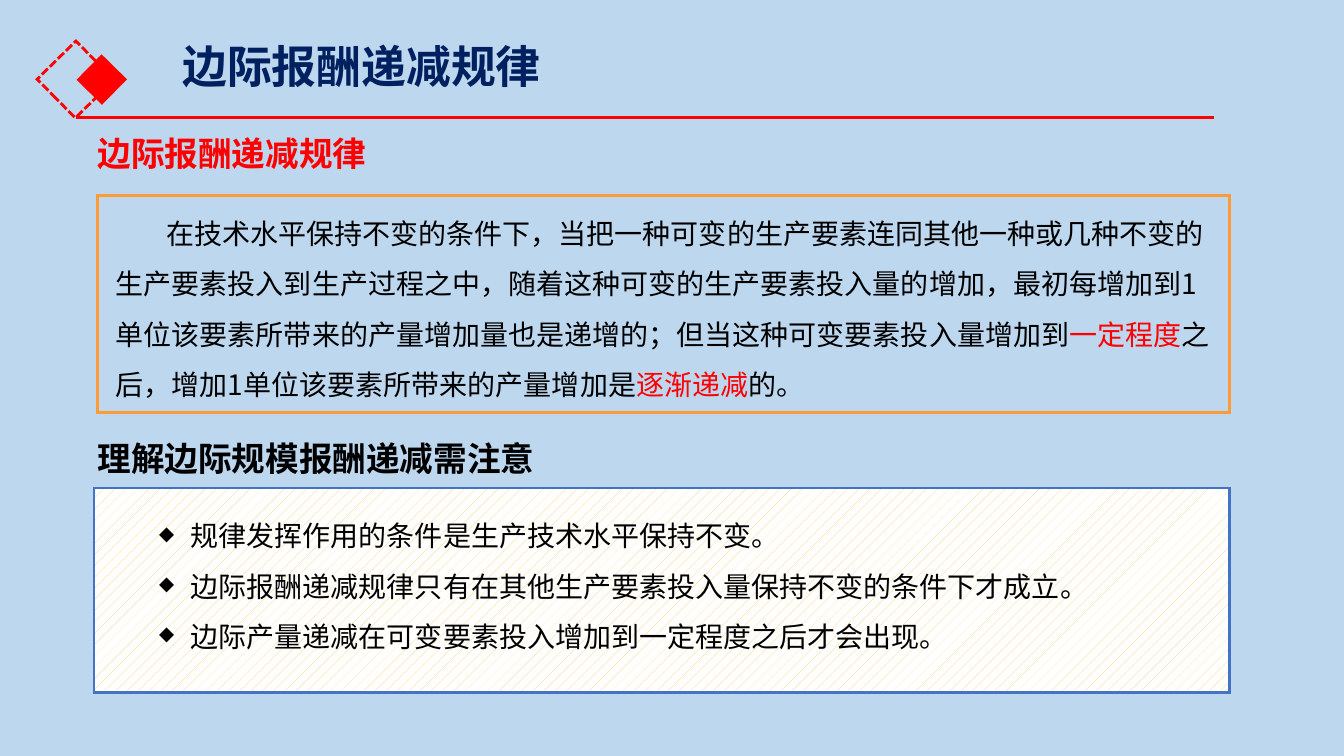
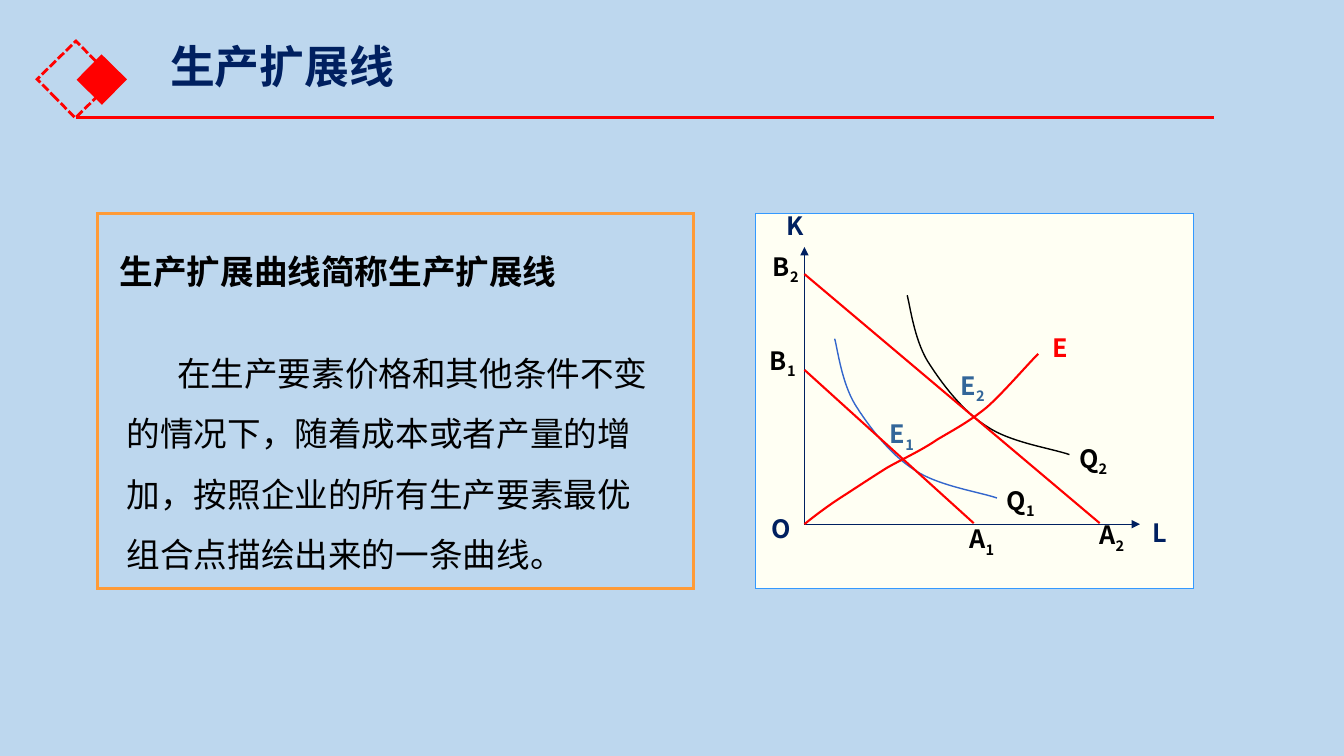
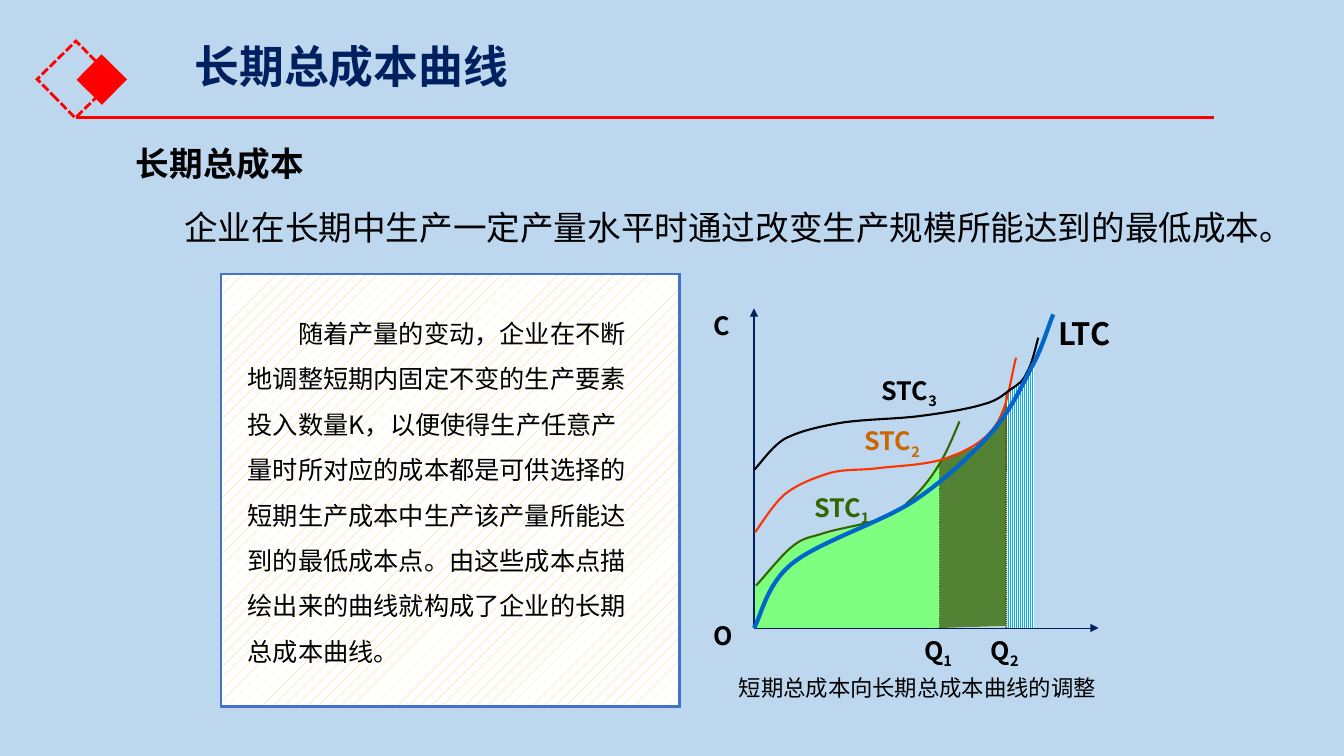
"""Build three slides on marginal returns, expansion path and long-run cost."""
from dataclasses import dataclass

from lxml.etree import SubElement as Sub
from pptx import Presentation
from pptx.dml.color import RGBColor as Rgb
from pptx.enum.dml import MSO_LINE as Dash, MSO_PATTERN as Hatch
from pptx.enum.shapes import MSO_CONNECTOR as Conn, MSO_SHAPE as Form
from pptx.enum.text import MSO_ANCHOR as Anchor
from pptx.oxml.ns import qn
from pptx.util import Pt


@dataclass(frozen=True)
class Theme:
    """Colours, font and type sizes of the deck."""
    font: str = "Noto Sans CJK SC"
    sky: str = "BDD7EE"
    navy: str = "002060"
    red: str = "FF0000"
    black: str = "000000"
    white: str = "FFFFFF"
    amber: str = "FF9B37"
    sand: str = "FFCC66"
    blue: str = "4472C4"
    cream: str = "FFFFF3"
    edge: str = "3399FF"
    slate: str = "336699"
    royal: str = "3366CC"
    ocean: str = "0066CC"
    aqua: str = "00B0F0"
    moss: str = "548235"
    lime: str = "7FFF7F"
    leaf: str = "336600"
    flame: str = "FF3300"
    rust: str = "CC6600"
    title: int = 32
    head: int = 24
    big: int = 22
    body: int = 20
    label: int = 18
    note: int = 16


T = Theme()


def rgb(code):
    """Turn a hex code into a colour."""
    return Rgb.from_string(code)


def paint(shape, fill=None, line=None, width=1, dash=None, hatch=None):
    """Set the fill and outline of a shape and drop its shadow."""
    shape.shadow.inherit = False
    if hatch:
        shape.fill.patterned()
        shape.fill.pattern = hatch
        shape.fill.fore_color.rgb = rgb(fill)
        shape.fill.back_color.rgb = rgb(T.white)
    elif fill:
        shape.fill.solid()
        shape.fill.fore_color.rgb = rgb(fill)
    else:
        shape.fill.background()
    if line:
        shape.line.color.rgb = rgb(line)
        shape.line.width = Pt(width)
        if dash:
            shape.line.dash_style = dash
    else:
        shape.line.fill.background()


def block(slide, x, y, w, h, turn=0, **look):
    """Draw a rectangle with sharp corners."""
    shape = slide.shapes.add_shape(Form.RECTANGLE, Pt(x), Pt(y), Pt(w), Pt(h))
    shape.rotation = turn
    paint(shape, **look)
    Sub(shape._element.spPr.find(qn("a:ln")), qn("a:miter"), lim="800000")


def rule(slide, start, end, color, width, dash=None, arrow=False):
    """Draw a straight line, with an arrowhead at its end if asked."""
    line = slide.shapes.add_connector(Conn.STRAIGHT, *map(Pt, start + end))
    line.line.color.rgb = rgb(color)
    line.line.width = Pt(width)
    if dash:
        line.line.dash_style = dash
    props = line._element.spPr
    if arrow:
        Sub(props.find(qn("a:ln")), qn("a:tailEnd"), type="triangle")
    Sub(props, qn("a:effectLst"))


def trace(slide, spot, points, curved=False, close=False, **look):
    """Draw an outline through points; a curved one reads them as Bezier triples."""
    dots = [(Pt(spot[0] + x), Pt(spot[1] + y)) for x, y in points]
    pen = slide.shapes.build_freeform(*dots[0])
    pen.add_line_segments(dots[1:], close=close)
    shape = pen.convert_to_shape()
    paint(shape, **look)
    if curved:
        route = next(shape._element.iter(qn("a:path")))
        steps = route.findall(qn("a:lnTo"))
        for i in range(0, len(steps), 3):
            bend = Sub(route, qn("a:cubicBezTo"))
            for step in steps[i:i + 3]:
                bend.append(step[0])
                route.remove(step)


def write(slide, x, y, w, h, paras, size, bold=False, color=T.black, space=None,
          indent=0, mark=None, wrap=True, anchor=Anchor.TOP):
    """Add a text box; each paragraph is a list of (text, colour, baseline) runs."""
    frame = slide.shapes.add_textbox(Pt(x), Pt(y), Pt(w), Pt(h)).text_frame
    frame.word_wrap = wrap
    frame.vertical_anchor = anchor
    for i, runs in enumerate(paras):
        para = frame.add_paragraph() if i else frame.paragraphs[0]
        if space:
            para.line_spacing = space
        props = para._p.get_or_add_pPr()
        if indent:
            props.set("marL", str(max(0, -Pt(indent))))
            props.set("indent", str(Pt(indent)))
        if mark:
            Sub(props, qn("a:buSzPct"), val="70000")
            Sub(props, qn("a:buChar"), char=mark)
        for text, tint, base in runs:
            run = para.add_run()
            run.text = text
            font = run.font
            font.size, font.bold = Pt(size), bold
            font.color.rgb = rgb(tint or color)
            font.name = T.font
            Sub(run._r.rPr, qn("a:ea"), typeface=T.font)
            if base:
                run._r.rPr.set("baseline", str(base))


def plain(text):
    """Wrap a string as one paragraph of one run."""
    return [(text, None, 0)]


def heading(slide, x, y, w, text, color=T.black):
    """Write a bold section heading."""
    write(slide, x, y, w, 36, [plain(text)], T.head, True, color)


def prose(slide, x, y, w, h, runs, size):
    """Write a body paragraph with an indented first line."""
    write(slide, x, y, w, h, [runs], size, space=1.5, indent=36)


def label(slide, spot, x, mid, text, color=T.black, size=T.label):
    """Write a bold graph label centred on a height; digits after _ are lowered."""
    name, _, sub = text.partition("_")
    runs = plain(name) + ([(sub, None, -25000)] if sub else [])
    write(slide, spot[0] + x, spot[1] + mid - 18, 24 + 18 * len(name), 36, [runs],
          size, True, color, wrap=False, anchor=Anchor.MIDDLE)


def axes(slide, spot, root, right, top):
    """Draw two arrowed axes from the root of a graph."""
    x, y = spot[0] + root[0], spot[1] + root[1]
    for end in ((spot[0] + right, y), (x, spot[1] + top)):
        rule(slide, (x, y), end, T.navy, 0.75, arrow=True)


def frame(deck, title, left):
    """Add a blank slide with background, diamonds, rule and title."""
    slide = deck.slides.add_slide(deck.slide_layouts[6])
    slide.background.fill.solid()
    slide.background.fill.fore_color.rgb = rgb(T.sky)
    block(slide, 34.6, 37.4, 38.9, 38.9, 45.5, line=T.red, width=2,
          dash=Dash.SQUARE_DOT)
    block(slide, 60.5, 44.6, 24.5, 24.5, 314.5, fill=T.red, line=T.red)
    rule(slide, (54, 84.2), (866.9, 84.2), T.red, 2.25)
    write(slide, left, 24, 828, 53.5, [plain(title)], T.title, True, T.navy)
    return slide


def card(slide, x, y, w, h):
    """Draw a hatched panel."""
    block(slide, x, y, w, h, fill=T.sand, hatch=Hatch.PERCENT_10,
          line=T.blue, width=1.75)


def path_graph(slide, x, y, w, h):
    """Draw the expansion path graph in its panel."""
    spot, root = (x, y), (34.6, 221.8)
    block(slide, x, y, w, h, fill=T.cream, line=T.edge, width=0.75)
    axes(slide, spot, root, 274.3, 23.8)
    bow = [(56.2, 89.3), (58.3, 97.2), (61.2, 120.3), (70.6, 136.1),
           (80.6, 152), (95.8, 172.1), (113, 182.9),
           (129.6, 194.4), (159.8, 198.8), (172.1, 203.1)]
    for dx, dy, color in ((0, 0, T.royal), (51.8, -31, T.black)):
        trace(slide, (x + dx, y + dy), bow, True, line=color)
    for top, foot in ((111.6, 155.5), (43.2, 245.5)):
        trace(slide, spot, [(root[0], top), (foot, 221.1)], line=T.red, width=1.5)
    growth = [root, (38.9, 218.2), (51.1, 208.8), (61.2, 202.4),
              (71.3, 195.9), (82.1, 188.7), (93.6, 181.5),
              (105.1, 175), (118.1, 169.2), (129.6, 161.3),
              (141.8, 154.1), (152.6, 148.4), (164.9, 138.3),
              (176.4, 128.2), (193.7, 108), (201.6, 100.1)]
    trace(slide, spot, growth, True, line=T.red, width=1.5)
    for left, mid, text, color in (
            (14.4, 8.1, "K", T.navy), (276.5, 227.7, "L", T.navy),
            (4.3, 224.8, "O", T.navy), (204.5, 95.8, "E", T.red),
            (172.1, 206.3, "Q_1", T.black), (223.9, 176.1, "Q_2", T.black),
            (88.6, 158.8, "E_1", T.slate), (139, 123.9, "E_2", T.slate),
            (145.4, 233.7, "A_1", T.black), (238.3, 230.8, "A_2", T.black),
            (2.9, 106.2, "B_1", T.black), (5, 39.3, "B_2", T.black)):
        label(slide, spot, left, mid, text, color)


def cost_graph(slide, x, y):
    """Draw the short-run and long-run total cost graph with its caption."""
    spot, root, base = (x, y), (36, 228.3), 228.3
    areas = (
        (T.aqua, Hatch.NARROW_VERTICAL,
         [(217.4, base), (236.1, base), (236.1, 38.9), (224.6, 54), (216, 60.5)]),
        (T.moss, Hatch.DARK_VERTICAL,
         [(168.4, 108), (168.4, base), (216, 226.8), (216.7, 87.9),
          (216.7, 64.8), (207.3, 86.4), (192.9, 99.4)]),
        (T.lime, Hatch.DARK_VERTICAL,
         [(36, 198), root, (168.4, base), (168.4, 108), (158.4, 125.3),
          (148.3, 136.8), (134.6, 147.6), (115.2, 153.4), (93.6, 159.9),
          (75.6, 163.5), (61.9, 171.4), (48.2, 185.1)]))
    for color, hatch, points in areas:
        trace(slide, spot, points, close=True, fill=color, hatch=hatch)
    axes(slide, spot, root, 282.2, 0)
    for across, top in ((168.4, 108), (216, 59.8)):
        rule(slide, (x + across, y + top), (x + across, y + base), T.leaf, 0.75,
             Dash.ROUND_DOT)
    curves = (
        (T.leaf, 1.5,
         [(37.4, 198), (41.7, 193.7), (55.4, 176.4), (62.6, 170.7),
          (70.5, 164.2), (73.4, 164.2), (83.5, 161.3),
          (93.6, 157.7), (113, 154.8), (123.8, 151.2),
          (134.6, 147.6), (138.9, 145.5), (146.1, 138.3),
          (154, 131.8), (162, 121.7), (167.7, 112.3),
          (174.2, 102.3), (180, 87.1), (182.8, 80.7)]),
        (T.flame, 1.5,
         [(36.7, 159.9), (40.3, 155.5), (49.6, 139.7), (58.3, 132.5),
          (67.6, 125.3), (79.2, 121), (90.7, 117.4),
          (102.2, 114.5), (113, 115.9), (127.4, 113.8),
          (141.8, 112.3), (162.7, 111.6), (176.4, 105.9),
          (190, 100.8), (201.6, 94.3), (209.5, 82.1),
          (217.4, 70.6), (220.3, 44.7), (223.2, 35.3)]),
        (T.black, 1.5,
         [(36, 115.2), (40.3, 111.6), (48.2, 98.7), (58.3, 92.9),
          (68.4, 87.9), (79.9, 85), (95.7, 82.1),
          (111.6, 79.2), (134.6, 79.2), (152.6, 77.1),
          (169.9, 74.9), (188.6, 72), (200.1, 68.4),
          (210.9, 65.5), (214.5, 61.2), (219.6, 57.6),
          (225.3, 54), (228.2, 51.9), (231.1, 45.4),
          (234.7, 39.6), (237.6, 25.9), (239, 20.9)]),
        (T.ocean, 3,
         [root, (41, 220.3), (44.6, 197.3), (63.3, 182.2),
          (82, 167.1), (125.2, 153.4), (149, 138.3),
          (172.8, 122.4), (190.8, 105.1), (205.2, 89.3),
          (218.8, 73.5), (226.8, 56.9), (234, 42.5),
          (241.9, 28.8), (246.2, 12.3), (249.8, 4.3)]))
    for color, width, points in curves:
        trace(slide, spot, points, True, line=color, width=width)
    for left, mid, text, color in (
            (0, 11.9, "C", T.black), (0, 233.7, "O", T.black),
            (150.4, 245.9, "Q_1", T.black), (198, 245.9, "Q_2", T.black),
            (120.2, 60.1, "STC_3", T.black), (108, 96.1, "STC_2", T.rust),
            (72, 143.7, "STC_1", T.leaf)):
        label(slide, spot, left, mid, text, color)
    label(slide, spot, 246.2, 18, "LTC", size=T.big)
    write(slide, x + 18, y + 257.8, 276, 27,
          [plain("短期总成本向长期总成本曲线的调整")], T.note)


def law_slide(deck):
    """Build the slide on the law of diminishing returns."""
    slide = frame(deck, "边际报酬递减规律", 123.1)
    card(slide, 67, 348.5, 811.4, 146.2)
    heading(slide, 62.6, 91.4, 213, "边际报酬递减规律", T.red)
    prose(slide, 75.6, 139, 796.3, 152.6, [
        ("在技术水平保持不变的条件下，当把一种可变的生产要素连同其他一种或几种不变的"
         "生产要素投入到生产过程之中，随着这种可变的生产要素投入量的增加，最初每增加到1"
         "单位该要素所带来的产量增加量也是递增的；但当这种可变要素投入量增加到", None, 0),
        ("一定程度", T.red, 0),
        ("之后，增加1单位该要素所带来的产量增加是", None, 0),
        ("逐渐递减", T.red, 0),
        ("的。", None, 0)], T.body)
    heading(slide, 62.6, 309.6, 334, "理解边际规模报酬递减需注意")
    points = ("规律发挥作用的条件是生产技术水平保持不变。",
              "边际报酬递减规律只有在其他生产要素投入量保持不变的条件下才成立。",
              "边际产量递减在可变要素投入增加到一定程度之后才会出现。")
    write(slide, 106.6, 355, 679, 116.6, [plain(p) for p in points], T.body,
          space=1.5, indent=-22.5, mark="◆")
    block(slide, 69.8, 139.7, 808.6, 154.8, line=T.amber, width=2.25)


def path_slide(deck):
    """Build the slide on the expansion path."""
    slide = frame(deck, "生产扩展线", 114.5)
    path_graph(slide, 540, 152.6, 312.5, 267.8)
    heading(slide, 78.5, 175.7, 335.5, "生产扩展曲线简称生产扩展线")
    prose(slide, 83.5, 234, 391, 176.4, plain(
        "在生产要素价格和其他条件不变的情况下，随着成本或者产量的增加，"
        "按照企业的所有生产要素最优组合点描绘出来的一条曲线。"), T.head)
    block(slide, 69.8, 152.6, 425.5, 267.8, line=T.amber, width=2.25)


def cost_slide(deck):
    """Build the slide on long-run total cost."""
    slide = frame(deck, "长期总成本曲线", 131.8)
    card(slide, 157.7, 195.8, 327.6, 308.9)
    heading(slide, 90, 98.6, 135.4, "长期总成本")
    write(slide, 124.6, 144, 814.3, 36, [plain(
        "企业在长期中生产一定产量水平时通过改变生产规模所能达到的最低成本。")],
        T.head, wrap=False)
    cost_graph(slide, 502.6, 220.3)
    prose(slide, 169.9, 213.1, 290.2, 265, plain(
        "随着产量的变动，企业在不断地调整短期内固定不变的生产要素投入数量K，"
        "以便使得生产任意产量时所对应的成本都是可供选择的短期生产成本中生产该产量"
        "所能达到的最低成本点。由这些成本点描绘出来的曲线就构成了企业的长期总成本曲线。"),
        T.label)


def main():
    """Build and save the deck."""
    deck = Presentation()
    deck.slide_width, deck.slide_height = Pt(960), Pt(540)
    for build in (law_slide, path_slide, cost_slide):
        build(deck)
    deck.save("out.pptx")


if __name__ == "__main__":
    main()
